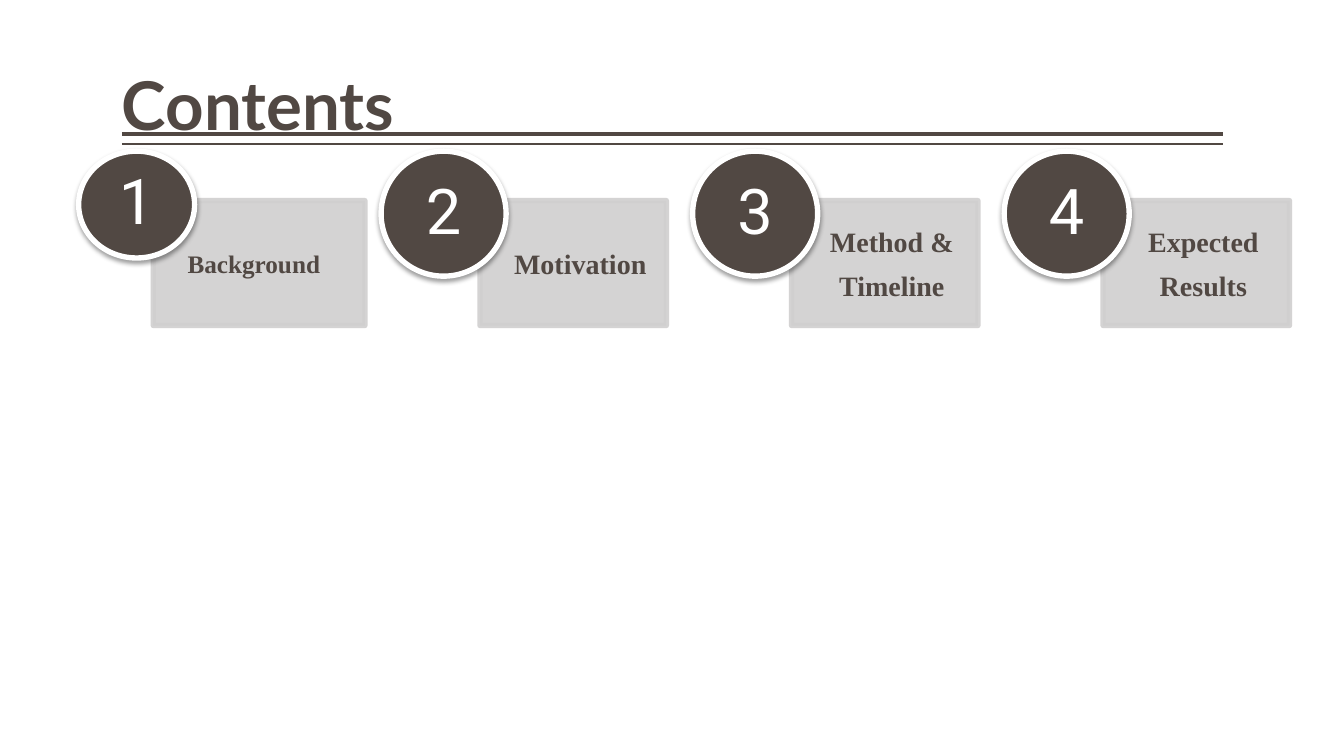
import pptx
import pptx.util
import pptx.dml.color
import pptx.enum.shapes
import pptx.enum.text
import pptx.oxml
import pptx.oxml.ns
from lxml import etree

Inches = pptx.util.Inches
Pt = pptx.util.Pt
ALIGN = pptx.enum.text.PP_ALIGN
ANCHOR = pptx.enum.text.MSO_ANCHOR
SHAPE = pptx.enum.shapes.MSO_SHAPE

COLORS = {"brown": "514843", "gray": "D0CFCF", "white": "FFFFFF", "black": "000000"}
TITLE = "Contents"
RULES = [(1.33, 3), (1.43, 1)]
RULE_LEFT, RULE_RIGHT = 1.21, 12.13
TOPICS = ["Background", "Motivation", "Method &\nTimeline", "Expected\nResults"]

CIRCLE_TOP, CARD_TOP, CARD_HEIGHT = 1.5, 1.99, 1.24
FIRST = {"circle": (0.78, 1.15, 1.06), "card": (1.52, 2.1), "inset": 0.34,
         "pad": 0.14, "size": 18, "align": ALIGN.LEFT}
SECOND_LEFT, PITCH, CARD_OFFSET = 3.78, 3.09, 0.98


def color(name):
    return pptx.dml.color.RGBColor.from_string(COLORS[name])


def add_child(parent, tag, **attributes):
    child = etree.SubElement(parent, pptx.oxml.ns.qn(tag))
    for key, value in attributes.items():
        child.set(key, str(value))
    return child


def topic_layout(index):
    if index == 0:
        return FIRST
    left = SECOND_LEFT + PITCH * (index - 1)
    return {"circle": (left, 1.24, 1.24), "card": (left + CARD_OFFSET, 1.85),
            "inset": 0.3, "pad": 0.16, "size": 20, "align": ALIGN.CENTER}


def add_block(slide, kind, place, fill, line, width):
    shape = slide.shapes.add_shape(kind, *[Inches(value) for value in place])
    shape.shadow.inherit = False
    shape.fill.solid()
    shape.fill.fore_color.rgb = color(fill)
    shape.line.color.rgb = color(line)
    shape.line.width = Pt(width)
    return shape


def write(shape, text, insets, align, font, size, ink, bold=False, spacing=1.0):
    frame = shape.text_frame
    frame.word_wrap = True
    frame.vertical_anchor = ANCHOR.MIDDLE
    (frame.margin_left, frame.margin_top,
     frame.margin_right, frame.margin_bottom) = [Inches(value) for value in insets]
    frame.text = text
    for para in frame.paragraphs:
        para.alignment = align
        para.line_spacing = spacing
        para.space_after = Pt(size * 0.35)
        para.font.name = font
        para.font.size = Pt(size)
        para.font.bold = bold
        para.font.color.rgb = color(ink)


def add_topic(slide, index, topic):
    layout = topic_layout(index)
    left, width = layout["card"]
    card = add_block(slide, SHAPE.RECTANGLE, (left, CARD_TOP, width, CARD_HEIGHT),
                     "gray", "gray", 3.78)
    for swatch in card._element.spPr.iter(pptx.oxml.ns.qn("a:srgbClr")):
        add_child(swatch, "a:alpha", val=90000)
    pad = layout["pad"]
    write(card, topic, (layout["inset"], pad, pad, pad), layout["align"],
          "Times New Roman", layout["size"], "brown", bold=True)

    left, width, height = layout["circle"]
    circle = add_block(slide, SHAPE.OVAL, (left, CIRCLE_TOP, width, height),
                       "brown", "white", 3.82)
    effects = circle._element.spPr.find(pptx.oxml.ns.qn("a:effectLst"))
    shadow = add_child(effects, "a:outerShdw", blurRad=Pt(3.5), dist=Pt(2),
                       dir=5400000, rotWithShape=0)
    swatch = add_child(shadow, "a:srgbClr", val=COLORS["black"])
    add_child(swatch, "a:alpha", val=38000)
    write(circle, str(index + 1), (0, 0, 0, 0), ALIGN.CENTER, "Roboto", 45,
          "white", spacing=0.9)


def add_title(slide):
    title = slide.shapes.title
    title.left, title.top = Inches(RULE_LEFT), Inches(0.29)
    title.width, title.height = Inches(RULE_RIGHT - RULE_LEFT), Inches(1.2)
    write(title, TITLE, (0, 0.05, 0, 0.05), ALIGN.LEFT, "Lato", 48, "brown",
          bold=True, spacing=0.9)
    title.text_frame.vertical_anchor = ANCHOR.BOTTOM
    title.text_frame.paragraphs[0].space_after = Pt(0)


def main():
    deck = pptx.Presentation()
    deck.slide_width, deck.slide_height = Inches(13.33), Inches(7.5)
    slide = deck.slides.add_slide(deck.slide_layouts[5])
    for top, width in RULES:
        rule = slide.shapes.add_connector(
            pptx.enum.shapes.MSO_CONNECTOR.STRAIGHT,
            Inches(RULE_LEFT), Inches(top), Inches(RULE_RIGHT), Inches(top))
        rule.line.color.rgb = color("brown")
        rule.line.width = Pt(width)
        add_child(rule._element.spPr, "a:effectLst")
    for index, topic in enumerate(TOPICS):
        add_topic(slide, index, topic)
    add_title(slide)
    deck.save("out.pptx")


if __name__ == "__main__":
    main()
